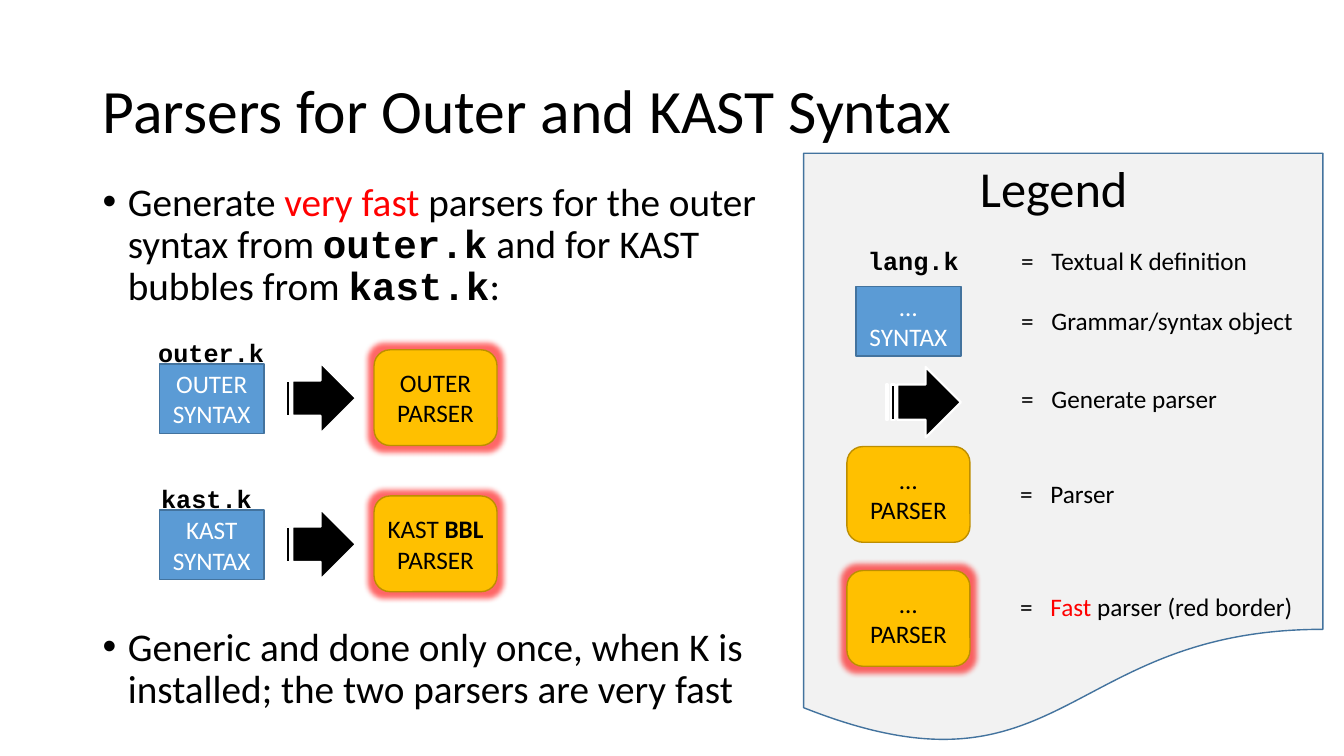
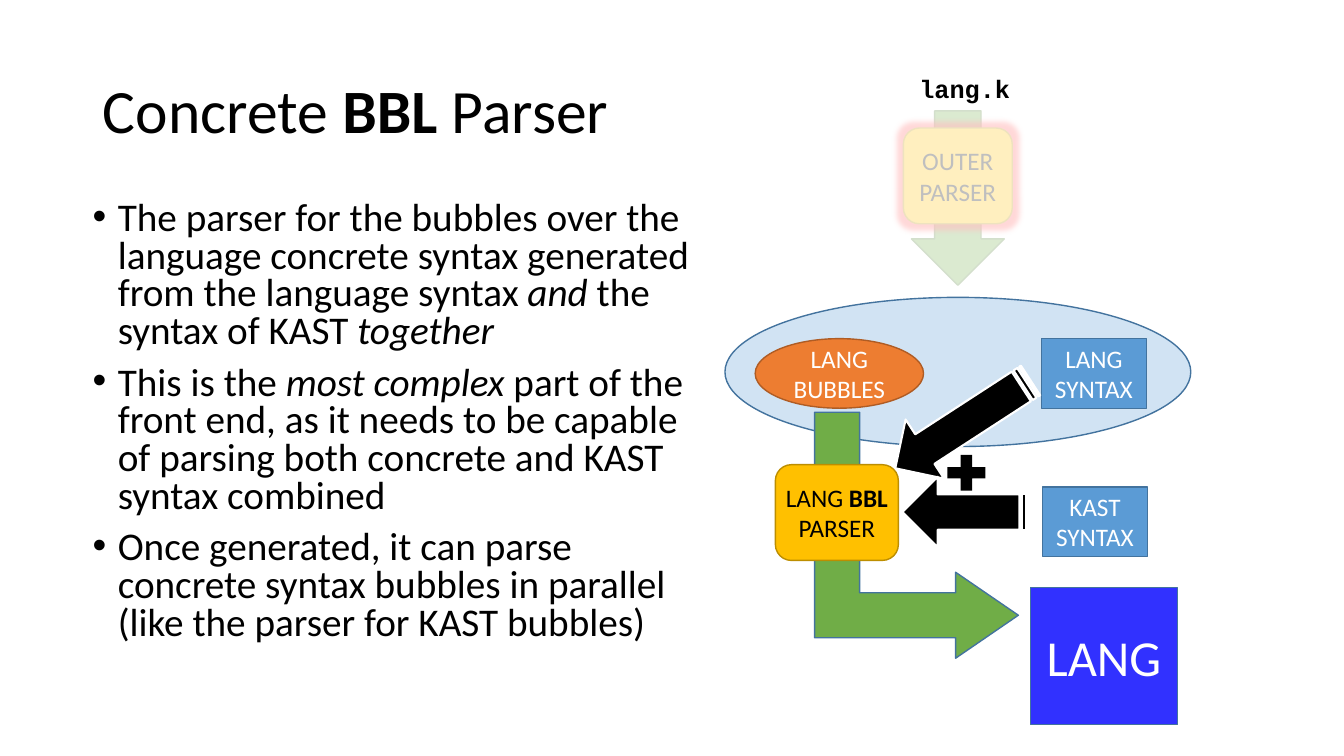
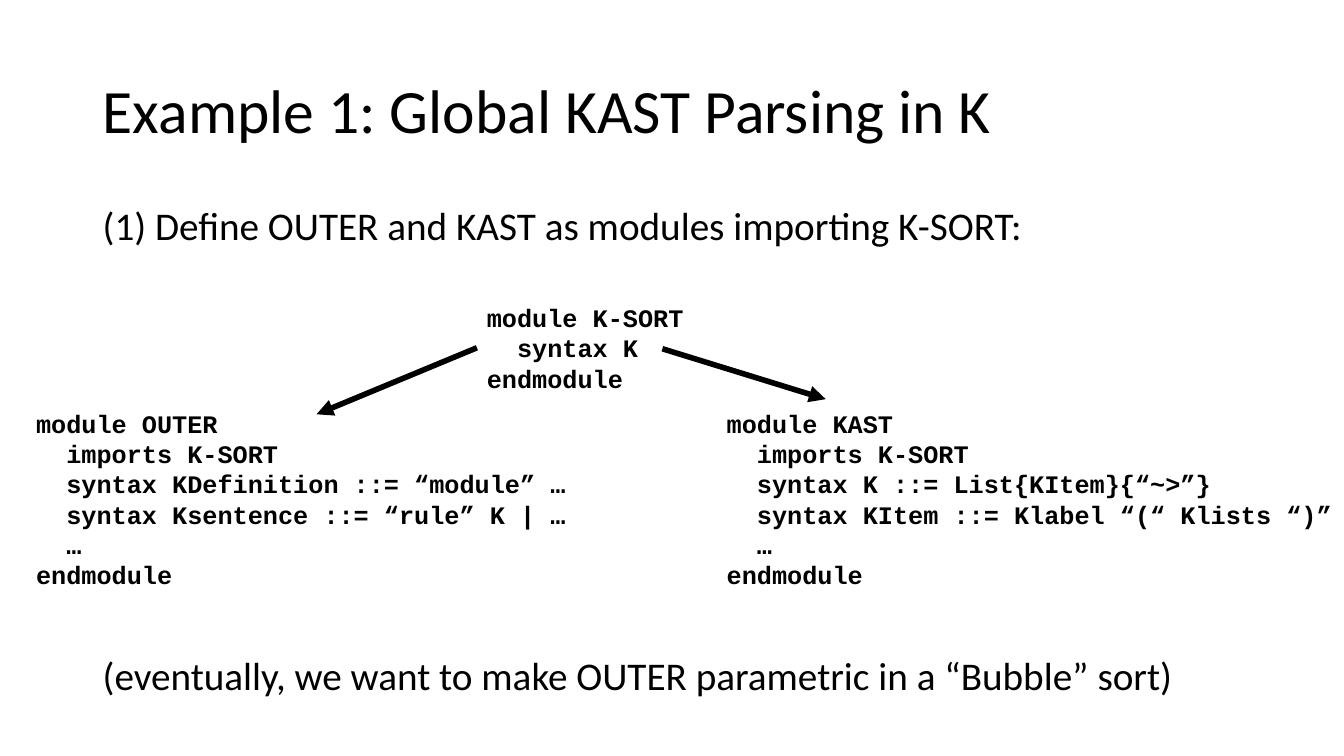
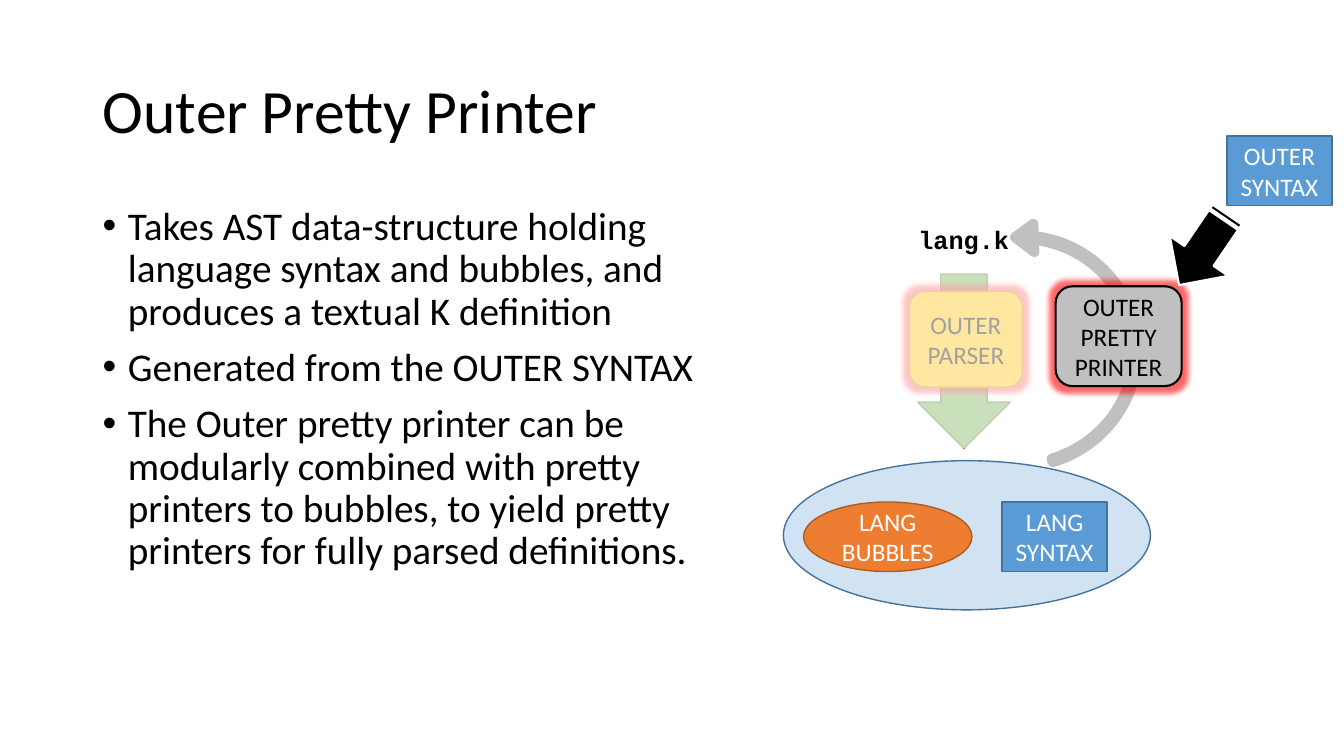
from lxml.etree import SubElement
from pptx import Presentation
from pptx.dml.color import RGBColor
from pptx.enum.dml import MSO_PATTERN
from pptx.enum.shapes import MSO_CONNECTOR, MSO_SHAPE
from pptx.enum.text import MSO_ANCHOR, PP_ALIGN
from pptx.oxml.ns import qn
from pptx.util import Inches, Pt

COLORS = {
    "black": "000000", "white": "FFFFFF", "red": "FF0000", "panel": "F2F2F2",
    "blue": "5B9BD5", "blue_edge": "43739E", "gold": "FFC000", "gold_edge": "BD8E00",
    "green": "70AD47", "green_edge": "538035", "orange": "ED7D31", "orange_edge": "AF5C24",
    "result": "3131FF", "gray": "C0C0C0",
}
BODY_FONT, CODE_FONT = "Calibri", "Courier New"
BOLD_BBL = ("BBL", "bold")


class Deck:
    """Holds the presentation style and draws on the current slide."""

    def __init__(self):
        self.presentation = Presentation()
        self.presentation.slide_width = Inches(13.33)
        self.presentation.slide_height = Inches(7.5)
        self.slide = None

    def color(self, name):
        return RGBColor.from_string(COLORS[name])

    def place(self, at):
        return [Inches(length) for length in at]

    def style(self, run, size, color, kind):
        font = run.font
        font.size = Pt(size)
        font.name = CODE_FONT if kind == "code" else BODY_FONT
        font.bold = kind in ("bold", "code")
        font.italic = kind == "italic"
        font.color.rgb = self.color("red" if kind == "red" else color)

    def put_text(self, frame, paragraphs, size=18, color="black", kind="plain", align=PP_ALIGN.LEFT):
        for index, parts in enumerate(paragraphs):
            paragraph = frame.add_paragraph() if index else frame.paragraphs[0]
            paragraph.alignment = align
            for part in [parts] if isinstance(parts, str) else parts:
                text, part_kind = (part, kind) if isinstance(part, str) else part
                run = paragraph.add_run()
                run.text = text
                self.style(run, size, color, part_kind)
        return frame.paragraphs

    def new_slide(self, *title):
        self.slide = self.presentation.slides.add_slide(self.presentation.slide_layouts[5])
        heading = self.slide.shapes.title
        heading.left, heading.top, heading.width, heading.height = self.place((0.92, 0.4, 11.5, 1.45))
        heading.text_frame.vertical_anchor = MSO_ANCHOR.MIDDLE
        self.put_text(heading.text_frame, [title], 44)[0].line_spacing = 0.9

    def text_box(self, at, wrap):
        frame = self.slide.shapes.add_textbox(*self.place(at)).text_frame
        frame.word_wrap = wrap
        return frame

    def body(self, at, items, spacing=0.9, gap=10, bulleted=True):
        paragraphs = self.put_text(self.text_box(at, True), items, 28)
        for index, paragraph in enumerate(paragraphs):
            paragraph.line_spacing = spacing
            paragraph.space_before = Pt(gap if index else 10)
            if bulleted:
                properties = paragraph._p.get_or_add_pPr()
                properties.set("marL", str(Inches(0.25)))
                properties.set("indent", str(-Inches(0.25)))
                SubElement(properties, qn("a:buFont")).set("typeface", "Arial")
                SubElement(properties, qn("a:buChar")).set("char", "•")

    def file_name(self, left, top, name):
        width = 0.2 + 0.15 * len(name)
        self.put_text(self.text_box((left, top, width, 0.4), False), [name], kind="code")

    def code(self, at, *lines):
        paragraphs = self.put_text(self.text_box(at, False), lines, kind="code")
        for paragraph in paragraphs[1:-1]:
            paragraph._p.get_or_add_pPr().set("marL", str(Inches(0.3)))

    def meaning(self, left, top, *parts):
        frame = self.text_box((left, top, 3.2, 0.4), True)
        paragraph = self.put_text(frame, [("=\t", *parts)])[0]
        stops = SubElement(paragraph._p.get_or_add_pPr(), qn("a:tabLst"))
        stop = SubElement(stops, qn("a:tab"))
        stop.set("pos", str(Inches(0.3)))
        stop.set("algn", "l")

    def shape(self, kind, at, fill, edge=None, weight=1, lines=(), text_color="white",
              size=18, wrap=True, rotation=0, opacity=100):
        shape = self.slide.shapes.add_shape(kind, *self.place(at))
        shape.shadow.inherit = False
        shape.rotation = rotation
        shape.fill.solid()
        shape.fill.fore_color.rgb = self.color(fill)
        if opacity < 100:
            tint = shape._element.spPr.find(qn("a:solidFill"))[0]
            SubElement(tint, qn("a:alpha")).set("val", str(opacity * 1000))
        if edge:
            shape.line.color.rgb = self.color(edge)
            shape.line.width = Pt(weight)
        else:
            shape.line.fill.background()
        if lines:
            shape.text_frame.word_wrap = wrap
            shape.text_frame.vertical_anchor = MSO_ANCHOR.MIDDLE
            self.put_text(shape.text_frame, lines, size, text_color, align=PP_ALIGN.CENTER)
        return shape

    def glow(self, shape):
        effects = shape._element.spPr.find(qn("a:effectLst"))
        halo = SubElement(effects, qn("a:glow"))
        halo.set("rad", str(Inches(0.11)))
        tint = SubElement(halo, qn("a:srgbClr"))
        tint.set("val", COLORS["red"])
        SubElement(tint, qn("a:alpha")).set("val", "60000")

    def syntax(self, left, top, name):
        self.shape(MSO_SHAPE.RECTANGLE, (left, top, 1.04, 0.69), "blue", "blue_edge",
                   lines=(name, "SYNTAX"))

    def parser(self, left, top, name, width=1.22, fast=False):
        box = self.shape(MSO_SHAPE.ROUNDED_RECTANGLE, (left, top, width, 0.95), "gold", "gold_edge",
                         lines=(name, "PARSER"), text_color="black", wrap=isinstance(name, str))
        if fast:
            self.glow(box)

    def generate(self, left, top, width=0.74, rotation=0):
        self.shape(MSO_SHAPE.STRIPED_RIGHT_ARROW, (left, top, width, 0.7), "black", "white", 1.5,
                   rotation=rotation)

    def outer_stage(self, left, top, width):
        self.shape(MSO_SHAPE.DOWN_ARROW, (left, top, 0.92, 1.73), "green", "green_edge")
        self.parser(left - 0.08, top + 0.17, "OUTER", width, fast=True)

    def veil(self, at, opacity):
        self.shape(MSO_SHAPE.RECTANGLE, at, "white", opacity=opacity)

    def language_pool(self, at):
        self.shape(MSO_SHAPE.OVAL, at, "blue", "blue_edge", opacity=28)

    def bubbles(self, left, top):
        self.shape(MSO_SHAPE.OVAL, (left, top, 1.67, 0.69), "orange", "orange_edge",
                   lines=("LANG", "BUBBLES"))

    def arrow(self, start, end):
        line = self.slide.shapes.add_connector(MSO_CONNECTOR.STRAIGHT, *self.place(start + end))
        line.line.color.rgb = self.color("black")
        line.line.width = Pt(4)
        SubElement(line._element.spPr.find(qn("a:ln")), qn("a:tailEnd")).set("type", "triangle")
        SubElement(line._element.spPr, qn("a:effectLst"))


def outer_and_kast(deck):
    deck.new_slide("Parsers for Outer and KAST Syntax")
    deck.shape(MSO_SHAPE.FLOWCHART_DOCUMENT, (7.97, 1.52, 5.15, 5.89), "panel", "blue_edge")
    deck.body((0.92, 1.76, 6.68, 5.59), [
        ("Generate ", ("very fast ", "red"), "parsers for the outer syntax from ",
         ("outer.k", "code"), " and for KAST bubbles from ", ("kast.k", "code"), ":"),
        "Generic and done only once, when K is installed; the two parsers are very fast",
    ], gap=227)
    pipelines = [(1.47, "outer.k", "OUTER", "OUTER"),
                 (1.5, "kast.k", "KAST", ("KAST ", BOLD_BBL))]
    for row, (left, source, grammar, parser) in enumerate(pipelines):
        top = 3.3 + 1.45 * row
        deck.file_name(left, top, source)
        deck.syntax(1.58, top + 0.31, grammar)
        deck.generate(2.79, top + 0.3)
        deck.parser(3.71, top + 0.17, parser, fast=True)
    deck.put_text(deck.text_box((9.62, 1.51, 1.68, 0.71), False), ["Legend"], 36)
    deck.file_name(8.51, 2.38, "lang.k")
    deck.syntax(8.49, 2.84, "…")
    deck.generate(8.79, 3.64)
    deck.parser(8.4, 4.43, "…")
    deck.parser(8.4, 5.66, "…", fast=True)
    deck.meaning(10.03, 2.38, "Textual K definition")
    deck.meaning(10.03, 2.98, "Grammar/syntax object")
    deck.meaning(10.03, 3.75, "Generate parser")
    deck.meaning(10.02, 4.7, "Parser")
    deck.meaning(10.02, 5.82, ("Fast", "red"), " parser (red border)")


def concrete_bubbles(deck):
    deck.new_slide("Concrete ", BOLD_BBL, " Parser")
    deck.body((0.82, 1.95, 6.12, 4.76), [
        ("The parser for the bubbles over the language concrete syntax generated from the "
         "language syntax ", ("and", "italic"), " the syntax of KAST ", ("together", "italic")),
        ("This is the ", ("most complex ", "italic"), "part of the front end, as it needs to be "
         "capable of parsing both concrete and KAST syntax combined"),
        "Once generated, it can parse concrete syntax bubbles in parallel "
        "(like the parser for KAST bubbles)",
    ], spacing=0.8)
    deck.language_pool((7.19, 2.95, 4.62, 1.48))
    parse_flow = deck.shape(MSO_SHAPE.BENT_UP_ARROW, (7.87, 4.3, 2.44, 2.02), "green", "blue_edge",
                            rotation=90)
    for index, value in enumerate((0.221, 0.211, 0.308)):
        parse_flow.adjustments[index] = value
    parse_flow.fill.patterned()
    parse_flow.fill.pattern = MSO_PATTERN.DARK_VERTICAL
    parse_flow.fill.fore_color.rgb = deck.color("green")
    parse_flow.fill.back_color.rgb = deck.color("white")
    deck.syntax(10.33, 3.36, "LANG")
    deck.file_name(9.02, 0.68, "lang.k")
    deck.outer_stage(9.04, 1.1, 1.08)
    deck.bubbles(7.49, 3.36)
    deck.parser(7.69, 4.61, ("LANG ", BOLD_BBL))
    deck.syntax(10.34, 4.83, "KAST")
    deck.generate(8.75, 3.86, 1.6, 147)
    deck.generate(8.95, 4.73, 1.27, 180)
    deck.shape(MSO_SHAPE.RECTANGLE, (10.22, 5.83, 1.46, 1.36), "result", "blue_edge",
               lines=["LANG"], size=36)
    deck.shape(MSO_SHAPE.MATH_PLUS, (9.33, 4.45, 0.51, 0.48), "black")
    deck.veil((8.69, 1.06, 1.73, 1.8), 75)


def global_kast(deck):
    deck.new_slide("Example 1: Global KAST Parsing in K")
    deck.body((0.92, 2, 11.5, 5.15), [
        "(1) Define OUTER and KAST as modules importing K-SORT:",
        "(eventually, we want to make OUTER parametric in a “Bubble” sort)",
    ], gap=291, bulleted=False)
    deck.code((4.73, 2.95, 2.16, 1.01), "module K-SORT", "syntax K", "endmodule")
    deck.code((7.11, 4, 6.23, 1.92), "module KAST", "imports K-SORT",
              "syntax K ::= List{KItem}{“~>”}", "syntax KItem ::= Klabel “(“ Klists “)”",
              "…", "endmodule")
    deck.code((0.26, 4, 5.48, 1.92), "module OUTER", "imports K-SORT",
              "syntax KDefinition ::= “module” …", "syntax Ksentence ::= “rule” K | …",
              "…", "endmodule")
    deck.arrow((4.73, 3.45), (3.14, 4.11))
    deck.arrow((6.57, 3.46), (8.19, 3.96))


def pretty_printer(deck):
    deck.new_slide("Outer Pretty Printer")
    deck.body((0.92, 2, 6.1, 4.76), [
        "Takes AST data-structure holding language syntax and bubbles, "
        "and produces a textual K definition",
        "Generated from the OUTER SYNTAX",
        "The Outer pretty printer can be modularly combined with pretty printers to bubbles, "
        "to yield pretty printers for fully parsed definitions.",
    ])
    deck.language_pool((7.77, 4.57, 3.64, 1.48))
    deck.syntax(9.94, 4.98, "LANG")
    deck.file_name(9.01, 2.18, "lang.k")
    deck.outer_stage(9.1, 2.72, 1.12)
    deck.bubbles(7.97, 4.98)
    return_flow = deck.shape(MSO_SHAPE.CIRCULAR_ARROW, (8.84, 2.19, 2.54, 2.59), "gray", "gray", 7.25,
                             rotation=257.3)
    return_flow._element.spPr.find(qn("a:xfrm")).set("flipV", "1")
    for index, value in enumerate((0.014, 5.622, 204.028, 110.403, 0.055)):
        return_flow.adjustments[index] = value
    printer = deck.shape(MSO_SHAPE.ROUNDED_RECTANGLE, (10.47, 2.84, 1.25, 0.99), "gray", "black", 1.5,
                         lines=("OUTER", "PRETTY PRINTER"), text_color="black")
    deck.glow(printer)
    deck.veil((8.9, 2.58, 1.36, 1.87), 63)
    deck.generate(11.5, 2.11, 0.89, 124.3)
    deck.syntax(12.17, 1.35, "OUTER")


deck = Deck()
for build in (outer_and_kast, concrete_bubbles, global_kast, pretty_printer):
    build(deck)
deck.presentation.save("out.pptx")
